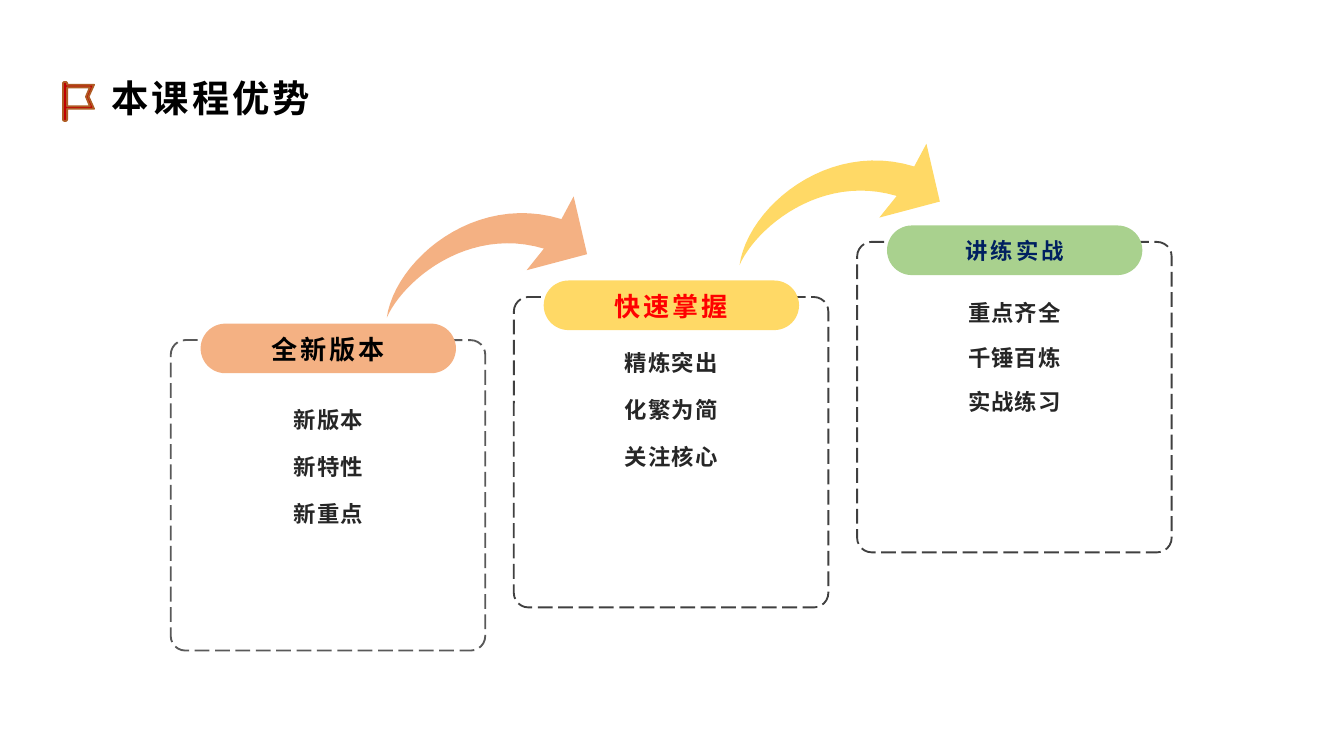
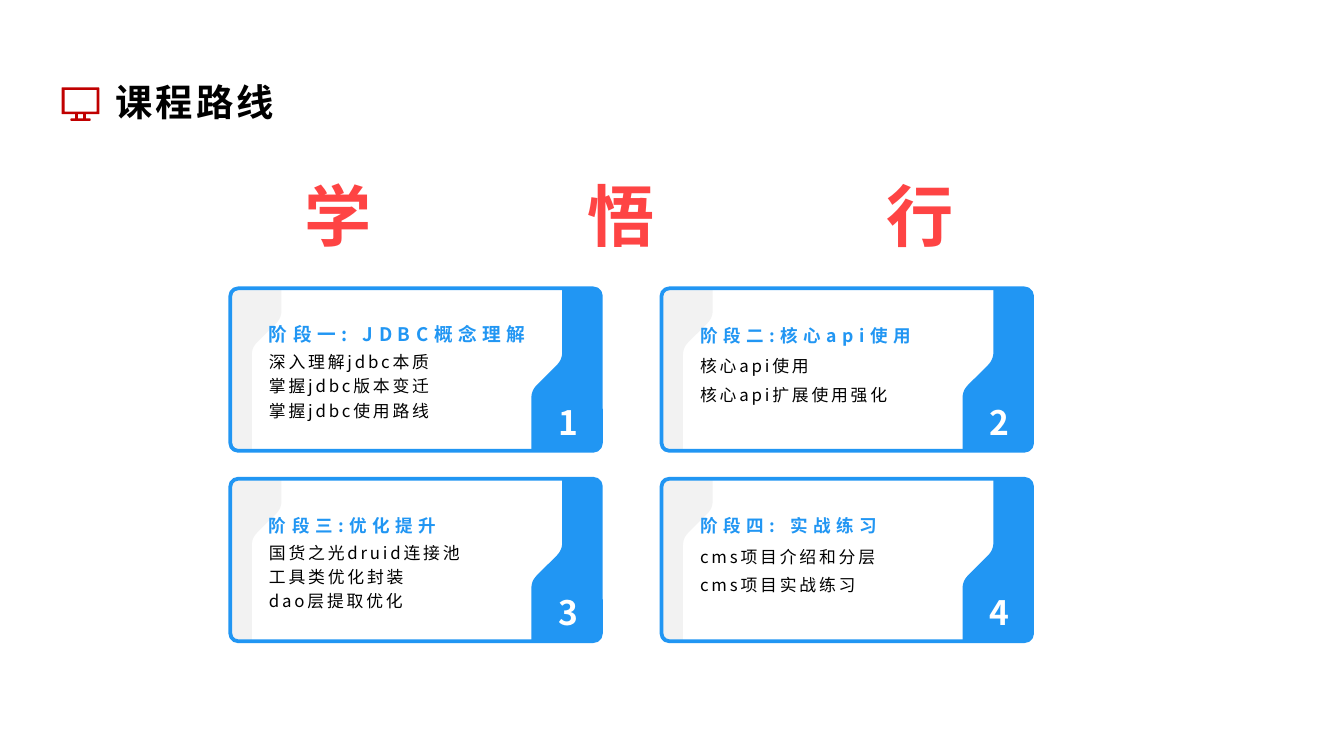
import math
import pptx
import pptx.dml.color
import pptx.enum.dml
import pptx.enum.shapes
import pptx.enum.text
import pptx.oxml
import pptx.oxml.ns
import pptx.util

Pt = pptx.util.Pt
ALIGN = pptx.enum.text.PP_ALIGN
ANCHOR = pptx.enum.text.MSO_ANCHOR
SANS = "Noto Sans CJK SC"
COLORS = {
    "black": "000000", "white": "FFFFFF", "text": "262626",
    "grey": "F2F2F2", "dash": "404040", "soft dash": "595959",
    "orange": "F4B183", "yellow": "FFD966", "green": "A9D18E",
    "red": "FF0000", "navy": "002060", "blue": "2196F3",
    "icon": "C00000", "rim": "AF5C24",
    "warm": "FE4444", "deep": "832B2B",
}

# Icon outlines: x, y and corner radius
FLAG = [
    [(33.8, 43.9, 1), (36, 43.9, 1), (36, 45.4, 0), (50.4, 45.4, 0),
     (47.5, 51.8, 0), (50.4, 58.3, 0), (36, 58.3, 0), (36, 64.8, 1),
     (33.8, 64.8, 1)],
    [(36, 46.8, 0), (36, 56.9, 0), (48.2, 56.9, 0), (46.1, 51.8, 0),
     (48.2, 46.8, 0)],
]
SCREEN = [
    [(33, 46.8, 0.6), (53.3, 46.8, 0.6), (53.3, 61.2, 0.6), (46.1, 61.2, 0),
     (46.1, 63.4, 0), (48.6, 63.4, 0.6), (48.6, 64.8, 0.6),
     (37.8, 64.8, 0.6), (37.8, 63.4, 0.6), (40.3, 63.4, 0),
     (40.3, 61.2, 0), (33, 61.2, 0.6)],
    [(34.6, 48.2, 0), (34.6, 59.8, 0), (51.8, 59.8, 0), (51.8, 48.2, 0)],
    [(41.8, 61.2, 0), (41.8, 63.4, 0), (44.6, 63.4, 0), (44.6, 61.2, 0)],
]

# Stage card: size and side panels
CARD_W, CARD_H = 198.5, 87
LEFT = [(0, 0, 4), (0, CARD_H, 4), (11.5, CARD_H, 0), (11.5, 31.7, 4),
        (27.4, 15.8, 4), (27.4, 0, 0)]
RIGHT = [(CARD_W, CARD_H, 4), (CARD_W, 0, 4), (177.8, 0, 0),
         (177.8, 38.2, 4), (161.3, 54.7, 4), (161.3, CARD_H, 0)]

# x, y, dash, pill colour, label, label colour, label size,
# list drop, line spacing, letter spacing, items
MERITS = [
    (91.5, 182.2, "soft dash", "orange", "全新版本", "black", 14,
     32.4, 1.2, 0.6, ["新版本", "新特性", "新重点"]),
    (275.3, 159.1, "dash", "yellow", "快速掌握", "red", 14,
     25.2, 1.2, 0.6, ["精炼突出", "化繁为简", "关注核心"]),
    (459.2, 129.6, "dash", "green", "讲练实战", "navy", 12,
     29.5, 1.1, 0.4, ["重点齐全", "千锤百炼", "实战练习"]),
]
# heading, heading size, heading width, line spacing, items
STAGES = [
    ("阶段一: JDBC概念理解", 10, 161.3, 1.2,
     ["深入理解jdbc本质", "掌握jdbc版本变迁", "掌握jdbc使用路线"]),
    ("阶段二:核心api使用", 9.4, 147.6, 1.4,
     ["核心api使用", "核心api扩展使用强化"]),
    ("阶段三:优化提升", 9.4, 149.8, 1.2,
     ["国货之光druid连接池", "工具类优化封装", "dao层提取优化"]),
    ("阶段四: 实战练习", 9.4, 147.6, 1.4,
     ["cms项目介绍和分层", "cms项目实战练习"]),
]


def tint(name):
    return pptx.dml.color.RGBColor.from_string(COLORS[name])


def paint(shape, fill=None, line=None, width=1):
    shape.shadow.inherit = False
    if fill:
        shape.fill.solid()
        shape.fill.fore_color.rgb = tint(fill)
    else:
        shape.fill.background()
    if line:
        shape.line.color.rgb = tint(line)
        shape.line.width = Pt(width)
    else:
        shape.line.fill.background()
    return shape


def write(slide, box, lines, size, color="black", bold=True, face=SANS,
          track=0, align=ALIGN.LEFT, anchor=ANCHOR.TOP,
          pad=(7.2, 3.6, 7.2, 3.6), lead=None, after=0, fade=None):
    """Text box with one paragraph for each line."""
    frame = slide.shapes.add_textbox(*map(Pt, box)).text_frame
    frame.word_wrap = True
    frame.vertical_anchor = anchor
    (frame.margin_left, frame.margin_top,
     frame.margin_right, frame.margin_bottom) = map(Pt, pad)
    for i, line in enumerate(lines):
        para = frame.add_paragraph() if i else frame.paragraphs[0]
        para.text = line
        para.alignment = align
        para.space_after = Pt(after)
        if lead:
            para.line_spacing = lead
        font = para.font
        font.size, font.bold, font.name = Pt(size), bold, face
        if fade:
            font.fill.gradient()
            font.fill.gradient_angle = 0
            for stop, name in zip(font.fill.gradient_stops, (color, fade)):
                stop.color.rgb = tint(name)
        else:
            font.color.rgb = tint(color)
        # East Asian face and letter spacing
        props = font._rPr
        props.set("spc", str(round(track * 100)))
        east = pptx.oxml.parse_xml(
            f'<a:ea {pptx.oxml.ns.nsdecls("a")} typeface="{face}"/>')
        props.find(pptx.oxml.ns.qn("a:latin")).addnext(east)
    return frame


def panel(slide, box, round_by, **style):
    kind = pptx.enum.shapes.MSO_SHAPE.ROUNDED_RECTANGLE
    shape = slide.shapes.add_shape(kind, *map(Pt, box))
    shape.adjustments[0] = round_by
    return paint(shape, **style)


def curve(nodes, steps=8):
    """Points on a Bezier curve of any degree."""
    n = len(nodes) - 1
    points = []
    for i in range(steps + 1):
        t = i / steps
        parts = [math.comb(n, k) * t ** k * (1 - t) ** (n - k)
                 for k in range(n + 1)]
        points.append(tuple(sum(w * node[axis] for w, node in zip(parts, nodes))
                            for axis in (0, 1)))
    return points


def soften(nodes):
    """Round each corner by its radius."""
    points = []
    for i, (x, y, r) in enumerate(nodes):
        if not r:
            points.append((x, y))
            continue
        ends = []
        for px, py, _ in (nodes[i - 1], nodes[(i + 1) % len(nodes)]):
            part = r / math.hypot(px - x, py - y)
            ends.append((x + (px - x) * part, y + (py - y) * part))
        points += curve([ends[0], (x, y), ends[1]])
    return points


def outline(slide, loops, x=0, y=0, **style):
    loops = [[(Pt(x + px), Pt(y + py)) for px, py in loop] for loop in loops]
    pen = slide.shapes.build_freeform(*loops[0][0])
    for i, loop in enumerate(loops):
        if i:
            pen.move_to(*loop[0])
        pen.add_line_segments(loop[1:], close=True)
    return paint(pen.convert_to_shape(), **style)


def arrow(slide, x, y, fill):
    inner = curve([(0, 65), (8.6, 45.4), (43.2, 15.8), (84.2, 28)], 24)
    outer = curve([(93.6, 12.2), (46.8, -2.2), (4.3, 34.6), (0, 65)], 24)
    head = [(74.9, 39.6), (107.3, 31), (100.1, 0)]
    outline(slide, [inner + head + outer], x, y, fill=fill)


def heading(slide, text, box, icon, **style):
    outline(slide, [soften(loop) for loop in icon], fill="icon", **style)
    write(slide, box, [text], 20, track=1.6, pad=(3.6, 1.4, 3.6, 1.4))


def merit(slide, x, y, dash, fill, label, color, size, drop, lead, track, items):
    frame = panel(slide, (x, y, 168.5, 166.3), 0.047, fill="white", line=dash)
    frame.line.dash_style = pptx.enum.dml.MSO_LINE.LONG_DASH
    panel(slide, (x + 16, y - 8.8, 136.8, 26.6), 0.5, fill=fill)
    write(slide, (x + 12, y + drop, 144.7, 124.6), items, 12, "text",
          track=track, align=ALIGN.CENTER, pad=(5, 0, 5, 2.9),
          lead=lead, after=8)
    write(slide, (x + 26.8, y - 6.5, 115.2, 22.3), [label], size, color,
          track=1.6, align=ALIGN.CENTER, anchor=ANCHOR.MIDDLE)


def stage(slide, x, y, number, title, size, width, lead, items):
    outline(slide, [soften(LEFT)], x, y, fill="grey")
    outline(slide, [soften(RIGHT)], x, y, fill="blue")
    panel(slide, (x, y, CARD_W, CARD_H), 0.047, line="blue", width=2)
    write(slide, (x + 164.9, y + 57.1, 32.4, 30.2), [str(number)], 18,
          "white", align=ALIGN.CENTER)
    write(slide, (x + 15.7, y + 31.9, 147.6, 45.4), items, 9, bold=False,
          track=1.5, pad=(5, 0, 7.2, 3.6), lead=lead)
    write(slide, (x + 15.7, y + 14.8, width, 15.8), [title], size, "blue",
          track=3, anchor=ANCHOR.BOTTOM, pad=(5, 2.9, 5, 0))


def main():
    deck = pptx.Presentation()
    deck.slide_width, deck.slide_height = Pt(720), Pt(405)
    blank = deck.slide_layouts[6]

    # Course merits
    slide = deck.slides.add_slide(blank)
    heading(slide, "本课程优势", (56.2, 38.9, 247, 30.2), FLAG, line="rim")
    arrow(slide, 207.2, 105.2, "orange")
    arrow(slide, 396.2, 77, "yellow")
    for item in MERITS:
        merit(slide, *item)

    # Course route
    slide = deck.slides.add_slide(blank)
    heading(slide, "课程路线", (58.3, 41, 95, 30.2), SCREEN)
    for x, word in ((156.2, "学"), (307.4, "悟"), (468, "行")):
        frame = write(slide, (x, 90, 50.4, 51.1), [word], 36, "warm",
                      face="Arial", align=ALIGN.CENTER, fade="deep")
        frame.word_wrap = False
        frame.auto_size = pptx.enum.text.MSO_AUTO_SIZE.SHAPE_TO_FIT_TEXT
    for i, item in enumerate(STAGES):
        row, col = divmod(i, 2)
        stage(slide, 123.4 + 231 * col, 154.5 + 102 * row, i + 1, *item)

    deck.save("out.pptx")


if __name__ == "__main__":
    main()
